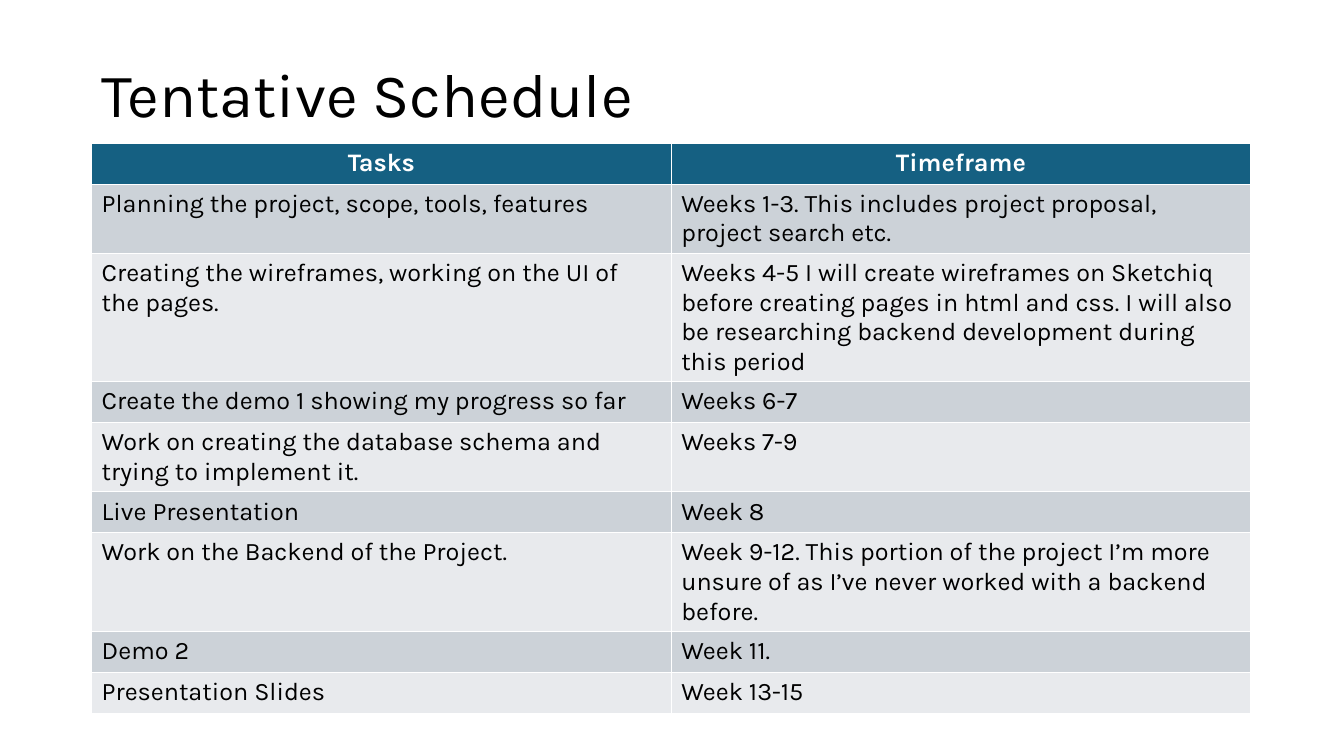
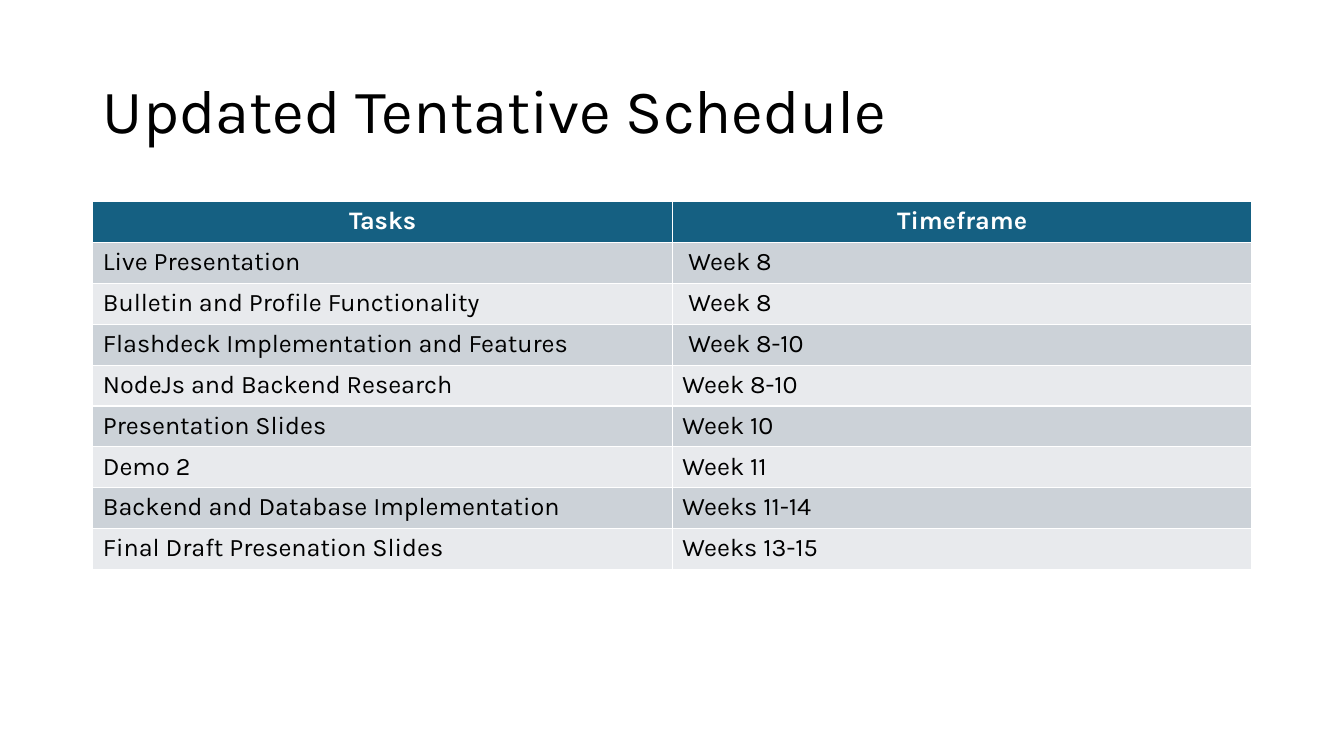
from pptx import Presentation
from pptx.dml.color import RGBColor
from pptx.enum.text import MSO_ANCHOR, MSO_AUTO_SIZE, PP_ALIGN
from pptx.util import Cm, Pt

LEFT = PP_ALIGN.LEFT
CENTER = PP_ALIGN.CENTER
MIDDLE = MSO_ANCHOR.MIDDLE
NO_FIT = MSO_AUTO_SIZE.NONE

BLACK = RGBColor(0x00, 0x00, 0x00)
WHITE = RGBColor(0xFF, 0xFF, 0xFF)
TEAL = RGBColor(0x15, 0x60, 0x82)
BANDS = (RGBColor(0xCC, 0xD2, 0xD8), RGBColor(0xE8, 0xEA, 0xED))

FONT = "Karla"
HEAD = ("Tasks", "Timeframe")

FIRST = (
    ("Planning the project, scope, tools, features",
     "Weeks 1-3. This includes project proposal, project search etc."),
    ("Creating the wireframes, working on the UI of the pages.",
     "Weeks 4-5 I will create wireframes on Sketchiq before creating pages "
     "in html and css. I will also be researching backend development "
     "during this period"),
    ("Create the demo 1 showing my progress so far", "Weeks 6-7"),
    ("Work on creating the database schema and trying to implement it.",
     "Weeks 7-9"),
    ("Live Presentation", "Week 8"),
    ("Work on the Backend of the Project.",
     "Week 9-12. This portion of the project I’m more unsure of as I’ve "
     "never worked with a backend before."),
    ("Demo 2", "Week 11."),
    ("Presentation Slides", "Week 13-15"),
)

UPDATED = (
    ("Live Presentation", " Week 8"),
    ("Bulletin and Profile Functionality", " Week 8"),
    ("Flashdeck Implementation and Features", " Week 8-10"),
    ("NodeJs and Backend Research", "Week 8-10"),
    ("Presentation Slides", "Week 10"),
    ("Demo 2", "Week 11"),
    ("Backend and Database Implementation", "Weeks 11-14"),
    ("Final Draft Presenation Slides", "Weeks 13-15"),
)


class Deck:
    width = Cm(29.21)
    title_height = Cm(3.68)
    row_height = Cm(1.03)

    def __init__(self):
        self.prs = Presentation()
        self.prs.slide_width = Cm(33.87)
        self.prs.slide_height = Cm(19.05)
        self.slide = None

    def add_slide(self):
        self.slide = self.prs.slides.add_slide(self.prs.slide_layouts[5])

    def style(self, para, size, color, align, bold=False):
        para.alignment = align
        for run in para.runs:
            font = run.font
            font.name = FONT
            font.size = Pt(size)
            font.bold = bold
            font.color.rgb = color

    def title(self, text, left, top):
        shape = self.slide.shapes.title
        shape.left, shape.top = left, top
        shape.width, shape.height = self.width, self.title_height
        frame = shape.text_frame
        frame.text = text
        frame.auto_size = NO_FIT
        frame.vertical_anchor = MIDDLE
        para = frame.paragraphs[0]
        para.line_spacing = 0.9
        self.style(para, 44, BLACK, LEFT)

    def cell(self, cell, text, fill, color, align, bold):
        cell.fill.solid()
        cell.fill.fore_color.rgb = fill
        cell.text_frame.text = text
        self.style(cell.text_frame.paragraphs[0], 18, color, align, bold)

    def table(self, rows, left, top):
        count = len(rows) + 1
        table = self.slide.shapes.add_table(
            count, len(HEAD), left, top, self.width, self.row_height * count
        ).table
        for col, text in enumerate(HEAD):
            self.cell(table.cell(0, col), text, TEAL, WHITE, CENTER, True)
        for row, texts in enumerate(rows):
            fill = BANDS[row % 2]
            for col, text in enumerate(texts):
                self.cell(table.cell(row + 1, col), text, fill, BLACK, LEFT, False)


def main():
    deck = Deck()
    for title, rows, left, title_top, table_top in (
        ("Tentative Schedule", FIRST, Cm(2.31), Cm(0.61), Cm(3.61)),
        ("Updated Tentative Schedule", UPDATED, Cm(2.34), Cm(1.02), Cm(5.08)),
    ):
        deck.add_slide()
        deck.title(title, left, title_top)
        deck.table(rows, left, table_top)
    deck.prs.save("out.pptx")


if __name__ == "__main__":
    main()
